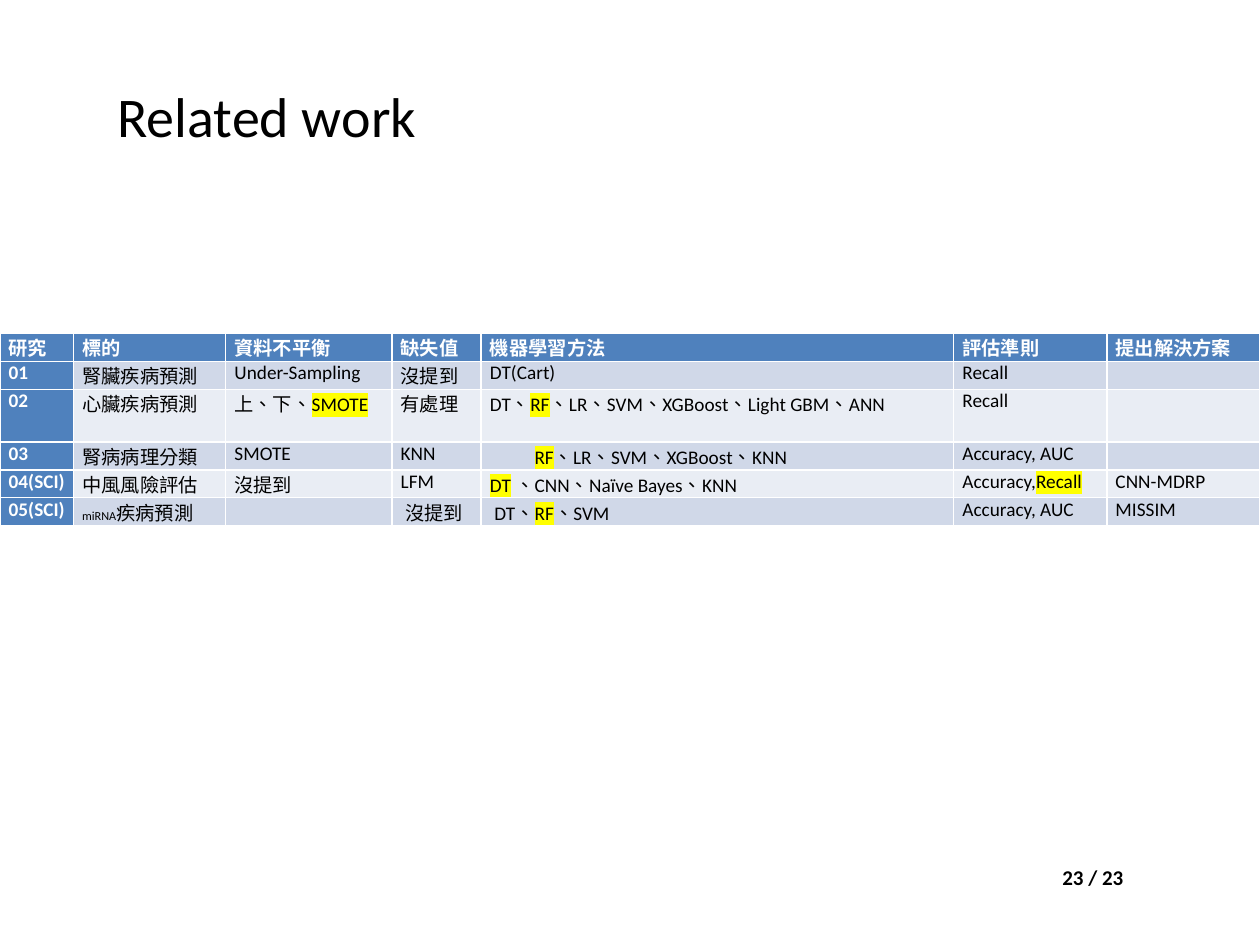
from lxml import etree
from pptx import Presentation
from pptx.dml.color import RGBColor
from pptx.enum.lang import MSO_LANGUAGE_ID
from pptx.enum.text import MSO_ANCHOR
from pptx.oxml.ns import qn
from pptx.util import Pt

MIDDLE, TOP = MSO_ANCHOR.MIDDLE, MSO_ANCHOR.TOP
CHINESE = MSO_LANGUAGE_ID.TRADITIONAL_CHINESE
BLACK = RGBColor(0x00, 0x00, 0x00)
WHITE = RGBColor(0xFF, 0xFF, 0xFF)
BLUE = RGBColor(0x4F, 0x81, 0xBD)
YELLOW = RGBColor(0xFF, 0xFF, 0x00)
BANDS = (RGBColor(0xD0, 0xD8, 0xE8), RGBColor(0xE9, 0xED, 0xF4))

FONT = "Calibri"
SIZE, SMALL = 11, 7
LEFT, RIGHT = 5, 4
COLS = (42, 87, 95, 51, 270, 87.5, 87.5)
ROWS = (16, 16, 30, 16, 16, 16)

# A cell is a text, or a list of runs where a tuple adds a style.
RF, DT, RECALL, SMOTE = [(word, "mark") for word in ("RF", "DT", "Recall", "SMOTE")]
STUDIES = (
    ("研究", "標的", "資料不平衡", "缺失值", "機器學習方法", "評估準則", "提出解決方案"),
    ("01", "腎臟疾病預測", "Under-Sampling", "沒提到", "DT(Cart)", "Recall", ""),
    ("02", "心臟疾病預測", ["上、下、", SMOTE], "有處理",
     ["DT、", RF, "、LR、SVM、XGBoost、Light GBM、ANN"], "Recall", ""),
    ("03", "腎病病理分類", "SMOTE", "KNN",
     [RF, "、LR、SVM、XGBoost、KNN"], "Accuracy, AUC", ""),
    ("04(SCI)", "中風風險評估", "沒提到", "LFM",
     [DT, " 、CNN、Naïve Bayes、KNN"], ["Accuracy,", RECALL], "CNN-MDRP"),
    ("05(SCI)", [("miRNA", "small"), "疾病預測"], "", "沒提到",
     ["DT、", RF, "、SVM"], "Accuracy, AUC", "MISSIM"),
)
INDENTS = {(3, 4): 25.5, (5, 3): 2.5, (5, 4): 2.5}


def style(run, size, color, bold=False):
    font = run.font
    font.name, font.size, font.bold = FONT, Pt(size), bold
    font.color.rgb = color
    font.language_id = CHINESE


def mark(run):
    """Highlight a run that already has a colour."""
    light = etree.Element(qn("a:highlight"))
    etree.SubElement(light, qn("a:srgbClr"), val=str(YELLOW))
    run.font._element.find(qn("a:solidFill")).addnext(light)


def add_text(slide, box, text, size, bold=False, anchor=TOP):
    frame = slide.shapes.add_textbox(*map(Pt, box)).text_frame
    frame.word_wrap = True
    frame.vertical_anchor = anchor
    frame.text = text
    style(frame.paragraphs[0].runs[0], size, BLACK, bold)


def fill_cell(cell, content, fill, color, bold, indent):
    cell.fill.solid()
    cell.fill.fore_color.rgb = fill
    cell.margin_left, cell.margin_right = Pt(LEFT + indent), Pt(RIGHT)
    cell.margin_top = cell.margin_bottom = 0
    para = cell.text_frame.paragraphs[0]
    if not content:
        # Keeps an empty cell from growing its row
        etree.SubElement(para._p, qn("a:endParaRPr"), sz=str(SIZE * 100))
        return
    for part in [content] if isinstance(content, str) else content:
        text, kind = (part, "") if isinstance(part, str) else part
        run = para.add_run()
        run.text = text
        style(run, SMALL if kind == "small" else SIZE, color, bold)
        if kind == "mark":
            mark(run)


def add_studies(slide):
    frame = slide.shapes.add_table(
        len(ROWS), len(COLS), 0, Pt(190.5), Pt(sum(COLS)), Pt(sum(ROWS)))
    table = frame.table
    table.first_col = True
    for col, width in zip(table.columns, COLS):
        col.width = Pt(width)
    for row, height in zip(table.rows, ROWS):
        row.height = Pt(height)
    for r, study in enumerate(STUDIES):
        for c, content in enumerate(study):
            head = r == 0 or c == 0
            fill = BLUE if head else BANDS[(r - 1) % 2]
            fill_cell(table.cell(r, c), content, fill,
                      WHITE if head else BLACK, head, INDENTS.get((r, c), 0))


def main():
    deck = Presentation()
    deck.slide_width, deck.slide_height = Pt(720), Pt(540)
    slide = deck.slides.add_slide(deck.slide_layouts[6])
    add_text(slide, (60, 21, 636, 90), "Related work", 32, anchor=MIDDLE)
    add_studies(slide)
    add_text(slide, (600, 490.5, 100, 21.5), "23 / 23", 12, bold=True)
    deck.save("out.pptx")


if __name__ == "__main__":
    main()
